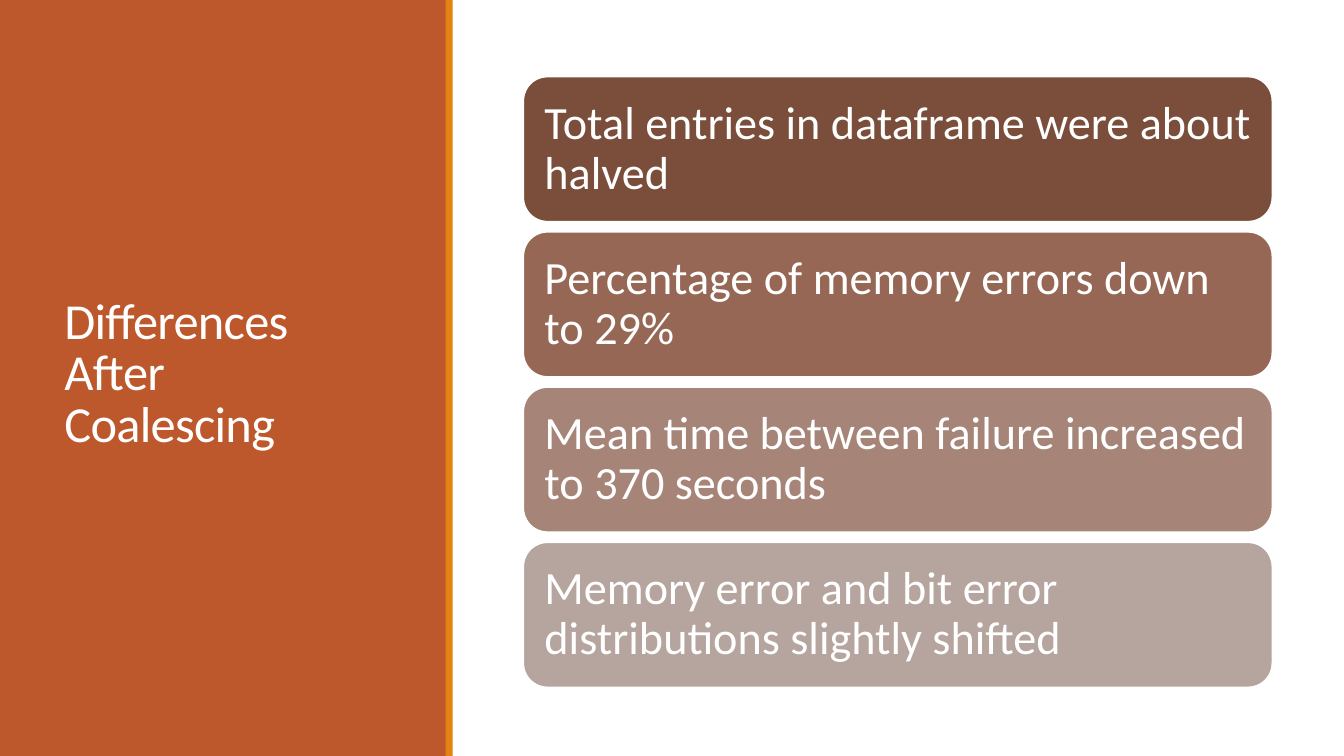
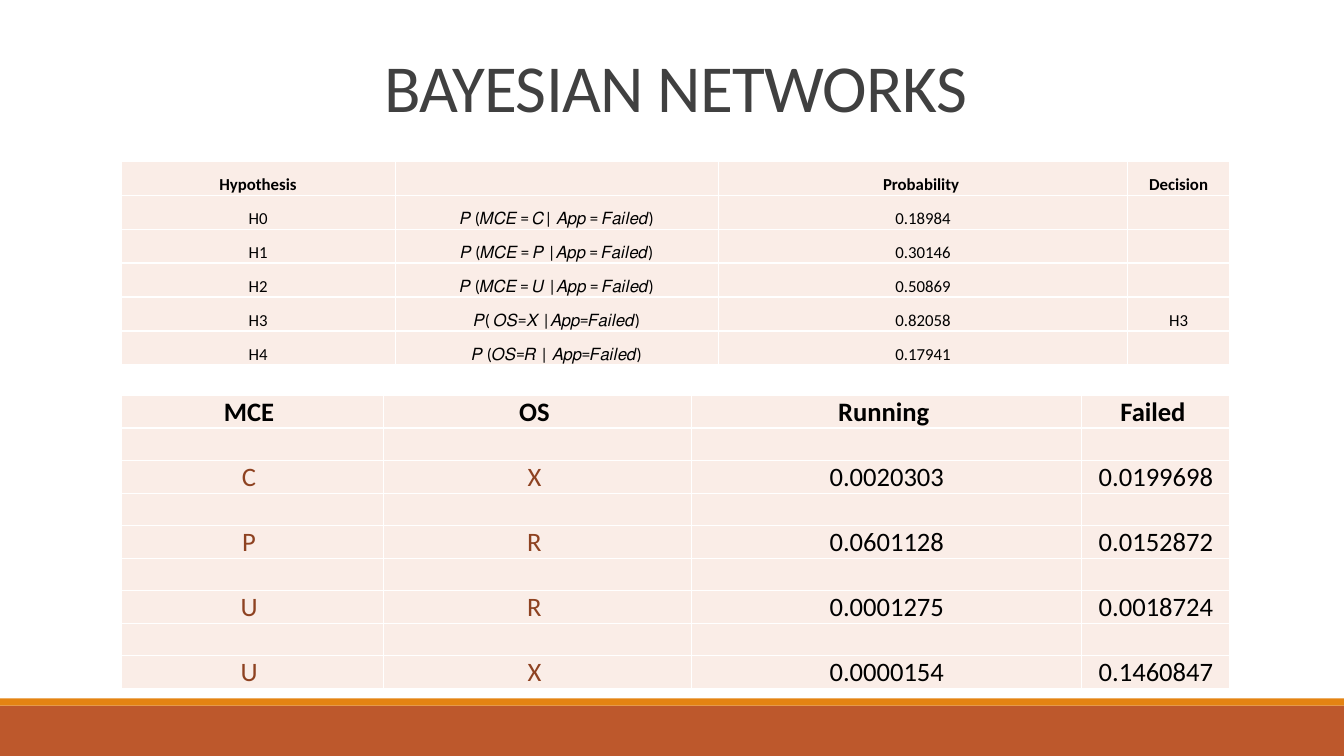
from dataclasses import dataclass
from typing import Any

from lxml.etree import SubElement
from pptx import Presentation
from pptx.dml.color import RGBColor
from pptx.enum.shapes import MSO_SHAPE
from pptx.enum.text import MSO_ANCHOR, PP_ALIGN
from pptx.oxml.ns import qn
from pptx.util import Inches, Pt

WHITE = RGBColor(0xFF, 0xFF, 0xFF)
BLACK = RGBColor(0x00, 0x00, 0x00)
CHARCOAL = RGBColor(0x40, 0x40, 0x40)
RUST = RGBColor(0xBD, 0x58, 0x2C)
DARK_RUST = RGBColor(0x8E, 0x42, 0x21)
ORANGE = RGBColor(0xE4, 0x83, 0x12)
BLUSH = RGBColor(0xFA, 0xED, 0xE7)

FONT = "Calibri"
SLIDE_WIDTH, SLIDE_HEIGHT = 13.33, 7.5
STRIPE = 0.07
TITLE_SPACING, BODY_SPACING = 0.85, 0.9
TABLE_LEFT = 1.2


@dataclass(frozen=True)
class Area:
    """A rectangle on the slide, in inches."""
    left: float
    top: float
    width: float
    height: float

    def lengths(self) -> tuple:
        return tuple(Inches(n) for n in (self.left, self.top, self.width, self.height))


@dataclass(frozen=True)
class Finding:
    text: str
    color: RGBColor


@dataclass(frozen=True)
class Grid:
    """A table with its column widths and first row set in bold."""
    top: float
    row_height: float
    widths: tuple[float, ...]
    size: float
    rows: list[tuple[str, ...]]
    key_columns: int = 0


FINDINGS = [
    Finding("Total entries in dataframe were about halved", RGBColor(0x7A, 0x4E, 0x3A)),
    Finding("Percentage of memory errors down to 29%", RGBColor(0x96, 0x67, 0x54)),
    Finding("Mean time between failure increased to 370 seconds", RGBColor(0xA7, 0x84, 0x78)),
    Finding("Memory error and bit error distributions slightly shifted",
            RGBColor(0xB6, 0xA4, 0x9E)),
]

HYPOTHESES = Grid(1.6, 0.337, (2.72, 3.21, 4.05, 1.02), 12, [
    ("Hypothesis", "", "Probability ", "Decision"),
    ("H0", "𝑃 (𝑀𝐶𝐸 = 𝐶| 𝐴𝑝𝑝 = 𝐹𝑎𝑖𝑙𝑒𝑑)", "0.18984", ""),
    ("H1", "𝑃 (𝑀𝐶𝐸 = 𝑃 |𝐴𝑝𝑝 = 𝐹𝑎𝑖𝑙𝑒𝑑)", "0.30146", ""),
    ("H2", "𝑃 (𝑀𝐶𝐸 = 𝑈 |𝐴𝑝𝑝 = 𝐹𝑎𝑖𝑙𝑒𝑑)", "0.50869", ""),
    ("H3", "𝑃( 𝑂𝑆=𝑋 |𝐴𝑝𝑝=𝐹𝑎𝑖𝑙𝑒𝑑)", "0.82058", "H3"),
    ("H4", "𝑃 (𝑂𝑆=𝑅 | 𝐴𝑝𝑝=𝐹𝑎𝑖𝑙𝑒𝑑)", "0.17941", ""),
])

BLANK_ROW = ("",) * 4
STATES = [
    ("C ", "X ", "0.0020303", "0.0199698"),
    ("P ", "R ", "0.0601128", "0.0152872"),
    ("U ", "R ", "0.0001275", "0.0018724"),
    ("U ", "X ", "0.0000154", "0.1460847"),
]
JOINT_PROBABILITIES = Grid(
    3.92, 0.32, (2.6, 3.06, 3.87, 1.47), 19,
    [("MCE ", "OS ", "Running ", "Failed ")]
    + [row for state in STATES for row in (BLANK_ROW, state)],
    key_columns=2,
)


def apply(target: Any, values: dict[str, Any]) -> None:
    for name, value in values.items():
        setattr(target, name, value)


def write(frame: Any, text: str, size: float, color: RGBColor, bold: bool = False,
          align: PP_ALIGN = PP_ALIGN.LEFT, spacing: float = 1.0) -> Any:
    para = frame.paragraphs[0]
    apply(para, {"alignment": align, "line_spacing": spacing})
    span = para.add_run()
    span.text = text
    apply(span.font, {"name": FONT, "size": Pt(size), "bold": bold})
    span.font.color.rgb = color
    return span


def add_block(page: Any, area: Area, color: RGBColor,
              kind: MSO_SHAPE = MSO_SHAPE.RECTANGLE) -> Any:
    box = page.shapes.add_shape(kind, *area.lengths())
    box.shadow.inherit = False
    box.fill.solid()
    box.fill.fore_color.rgb = color
    box.line.fill.background()
    return box


def add_title(page: Any, area: Area, text: str, size: float, color: RGBColor,
              anchor: MSO_ANCHOR, align: PP_ALIGN) -> None:
    frame = page.shapes.add_textbox(*area.lengths()).text_frame
    apply(frame, {"word_wrap": True, "vertical_anchor": anchor})
    span = write(frame, text, size, color, align=align, spacing=TITLE_SPACING)
    span.font._element.set("spc", "-50")


def add_finding(page: Any, area: Area, finding: Finding) -> None:
    box = add_block(page, area, finding.color, MSO_SHAPE.ROUNDED_RECTANGLE)
    box.line.color.rgb = WHITE
    box.line.width = Pt(1.25)
    apply(box.text_frame, {
        "word_wrap": True, "vertical_anchor": MSO_ANCHOR.MIDDLE,
        "margin_left": Inches(0.14), "margin_right": Inches(0.1),
    })
    write(box.text_frame, finding.text, 33, WHITE, spacing=BODY_SPACING)


def add_borders(cell: Any) -> None:
    properties = cell._tc.get_or_add_tcPr()
    for side in ("lnL", "lnR", "lnT", "lnB"):
        line = SubElement(properties, qn(f"a:{side}"), w=str(Pt(1)))
        SubElement(SubElement(line, qn("a:solidFill")), qn("a:srgbClr"), val=str(WHITE))


def fill_cell(cell: Any, text: str, size: float, color: RGBColor, bold: bool) -> None:
    apply(cell, {
        "margin_left": Inches(0.01), "margin_right": Inches(0.01),
        "margin_top": Inches(0.01), "margin_bottom": 0,
        "vertical_anchor": MSO_ANCHOR.BOTTOM,
    })
    add_borders(cell)
    cell.fill.solid()
    cell.fill.fore_color.rgb = BLUSH
    if text:
        write(cell.text_frame, text, size, color, bold, PP_ALIGN.CENTER)
    else:
        # A small end mark keeps an empty cell from stretching its row.
        SubElement(cell.text_frame.paragraphs[0]._p, qn("a:endParaRPr"), sz="1200")


def add_grid(page: Any, grid: Grid) -> None:
    area = Area(TABLE_LEFT, grid.top, sum(grid.widths), grid.row_height * len(grid.rows))
    table = page.shapes.add_table(len(grid.rows), len(grid.widths), *area.lengths()).table
    apply(table, {"first_row": False, "horz_banding": False})
    for column, width in zip(table.columns, grid.widths):
        column.width = Inches(width)
    for row_index, row in enumerate(grid.rows):
        table.rows[row_index].height = Inches(grid.row_height)
        for column_index, text in enumerate(row):
            is_header = row_index == 0
            is_key = not is_header and column_index < grid.key_columns
            fill_cell(table.cell(row_index, column_index), text, grid.size,
                      DARK_RUST if is_key else BLACK, is_header)


def build_differences(page: Any) -> None:
    add_block(page, Area(0, 0, 4.43, SLIDE_HEIGHT), RUST)
    add_block(page, Area(4.42, 0, STRIPE, SLIDE_HEIGHT), ORANGE)
    add_title(page, Area(0.54, 0.57, 3.37, 6.31), "Differences After Coalescing", 36,
              WHITE, MSO_ANCHOR.MIDDLE, PP_ALIGN.LEFT)
    height, gap = 1.44, 0.1
    for index, finding in enumerate(FINDINGS):
        add_finding(page, Area(5.19, 0.76 + index * (height + gap), 7.43, height), finding)


def build_networks(page: Any) -> None:
    add_block(page, Area(0, 7, SLIDE_WIDTH, 0.5), RUST)
    add_block(page, Area(0, 6.93, SLIDE_WIDTH, STRIPE), ORANGE)
    add_title(page, Area(TABLE_LEFT, 0.31, 11, 0.99), "BAYESIAN NETWORKS", 48,
              CHARCOAL, MSO_ANCHOR.BOTTOM, PP_ALIGN.CENTER)
    for grid in (HYPOTHESES, JOINT_PROBABILITIES):
        add_grid(page, grid)


def main() -> None:
    deck = Presentation()
    apply(deck, {"slide_width": Inches(SLIDE_WIDTH), "slide_height": Inches(SLIDE_HEIGHT)})
    for build in (build_differences, build_networks):
        build(deck.slides.add_slide(deck.slide_layouts[6]))
    deck.save("out.pptx")


if __name__ == "__main__":
    main()
